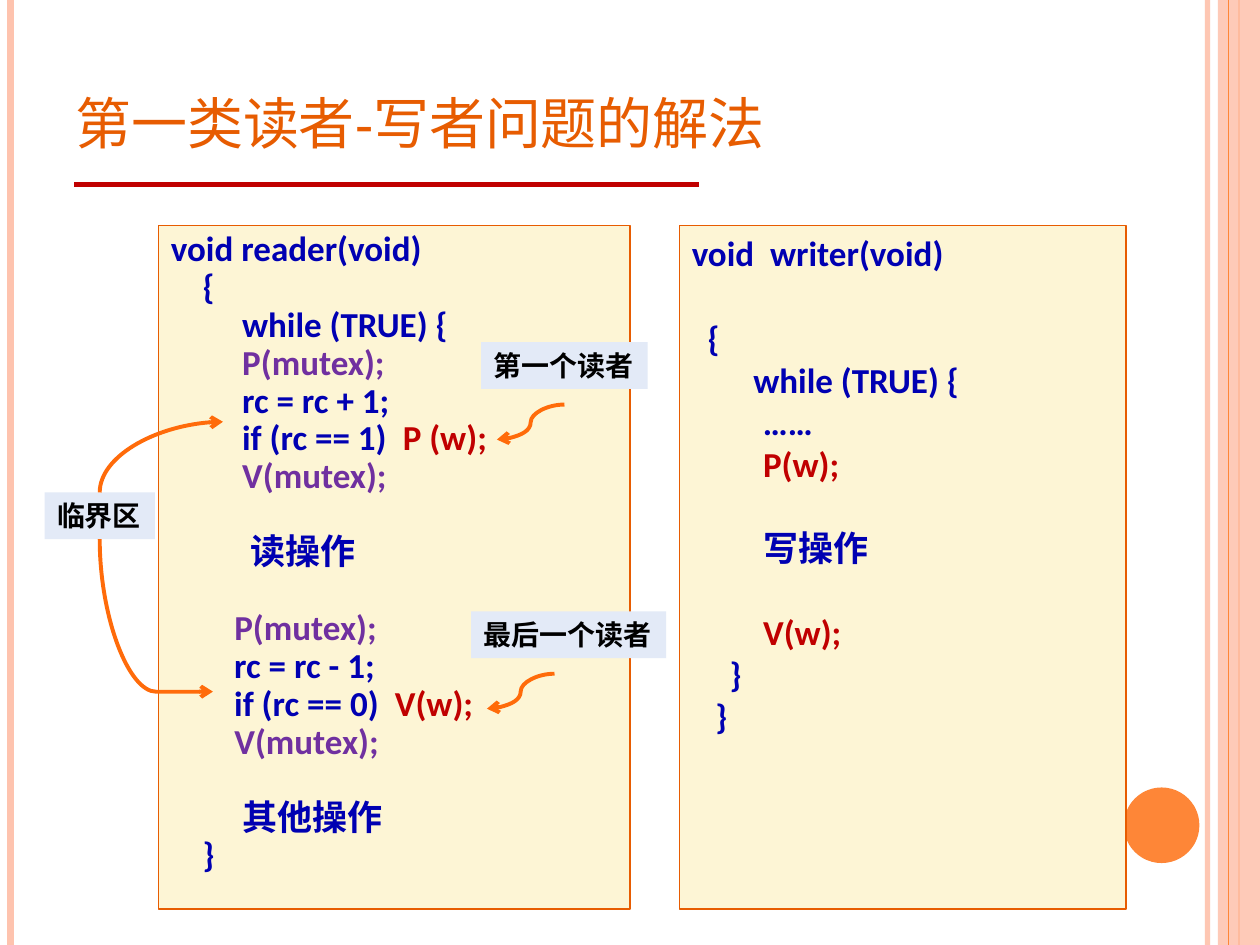
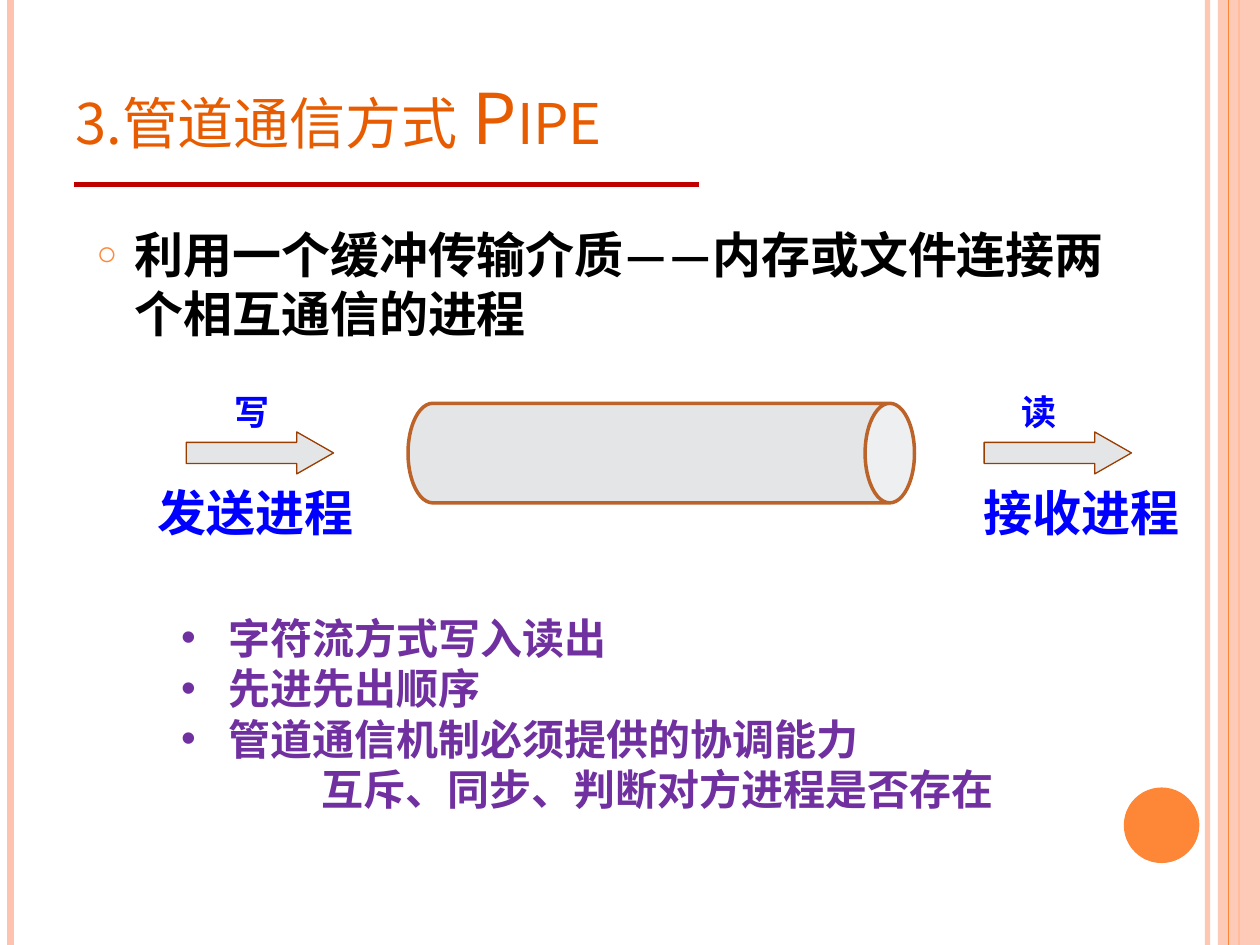
from dataclasses import dataclass

from lxml import etree
from pptx import Presentation
from pptx.dml.color import RGBColor
from pptx.enum.shapes import MSO_CONNECTOR, MSO_SHAPE
from pptx.enum.text import MSO_ANCHOR, MSO_AUTO_SIZE, PP_ALIGN
from pptx.oxml.ns import qn
from pptx.util import Pt

STRAIGHT, CURVE = MSO_CONNECTOR.STRAIGHT, MSO_CONNECTOR.CURVE
RECT, OVAL = MSO_SHAPE.RECTANGLE, MSO_SHAPE.OVAL
RIGHT_ARROW, CAN = MSO_SHAPE.RIGHT_ARROW, MSO_SHAPE.CAN
TOP, BOTTOM = MSO_ANCHOR.TOP, MSO_ANCHOR.BOTTOM
LEFT = PP_ALIGN.LEFT
FIXED, GROW = MSO_AUTO_SIZE.NONE, MSO_AUTO_SIZE.SHAPE_TO_FIT_TEXT
TOP_SITE, BOTTOM_SITE = 0, 2
TITLE_ONLY = 5


@dataclass(frozen=True)
class Theme:
    # Colours
    title: str = "E75C01"
    rule: str = "C00000"
    band: str = "FEC3AE"
    accent: str = "FE8637"
    panel: str = "FDF5D5"
    tag: str = "E3EAF7"
    pointer: str = "FF6B0A"
    code: str = "0000B2"
    mutex: str = "7030A0"
    write_lock: str = "C00000"
    text: str = "000000"
    process: str = "0000FF"
    pipe: str = "E4E5E6"
    pipe_edge: str = "BC6329"
    arrow_edge: str = "9A3D01"
    # Fonts and type sizes
    arial: str = "Arial"
    calibri: str = "Calibri"
    cjk: str = "Noto Sans CJK SC"
    title_size: int = 40
    lead_size: int = 28
    list_size: int = 24
    code_size: int = 20
    tag_size: int = 16


T = Theme()
SLIDE_W, SLIDE_H = 720, 540

# Code listings: one tuple of (text, colour) runs a line, None for a blank line
READER = [
    (("void reader(void)", T.code),),
    (("    {", T.code),),
    (("         while (TRUE) {", T.code),),
    (("         ", T.code), ("P(mutex);", T.mutex)),
    (("         rc = rc + 1;", T.code),),
    (("         if (rc == 1)  ", T.code), ("P (w);", T.write_lock)),
    (("         ", T.code), ("V(mutex);", T.mutex)),
    None,
    (("          读操作", T.code),),
    None,
    (("        ", T.code), ("P(mutex);", T.mutex)),
    (("        rc = rc - 1;", T.code),),
    (("        if (rc == 0)  ", T.code), ("V(w);", T.write_lock)),
    (("        ", T.code), ("V(mutex);", T.mutex)),
    None,
    (("         其他操作", T.code),),
    (("    }", T.code),),
]
WRITER = [
    (("void  writer(void)", T.code),),
    None,
    (("  {", T.code),),
    (("\t   while (TRUE) {", T.code),),
    (("         ……", T.code),),
    (("         ", T.code), ("P(w);", T.write_lock)),
    None,
    (("         写操作", T.code),),
    None,
    (("         ", T.code), ("V(w);", T.write_lock)),
    (("\t}", T.code),),
    (("   }", T.code),),
]


def rgb(value):
    return RGBColor.from_string(value)


def points(*values):
    return [Pt(value) for value in values]


def set_alpha(part, percent):
    colour = part.find(".//" + qn("a:srgbClr"))
    etree.SubElement(colour, qn("a:alpha"), val=str(percent * 1000))


# Text
def add_run(paragraph, text, size, colour, font, bold=True, east_asian=T.calibri):
    run = paragraph.add_run()
    run.text = text
    run.font.size, run.font.bold, run.font.name = Pt(size), bold, font
    run.font.color.rgb = rgb(colour)
    properties = run.font._element
    etree.SubElement(properties, qn("a:ea"), typeface=east_asian)
    return properties


def set_indent(paragraph, margin, first=0):
    properties = paragraph._p.get_or_add_pPr()
    properties.set("marL", str(Pt(margin)))
    properties.set("indent", str(Pt(first)))
    return properties


def add_bullet(paragraph, char, hang, colour=None, percent=100):
    properties = set_indent(paragraph, hang, -hang)
    if colour:
        bullet_colour = etree.SubElement(properties, qn("a:buClr"))
        etree.SubElement(bullet_colour, qn("a:srgbClr"), val=colour)
    etree.SubElement(properties, qn("a:buSzPct"), val=str(percent * 1000))
    etree.SubElement(properties, qn("a:buFont"), typeface=T.arial)
    etree.SubElement(properties, qn("a:buChar"), char=char)


def paragraphs(frame, count):
    return [frame.paragraphs[0]] + [frame.add_paragraph() for _ in range(count - 1)]


def add_label(slide, box, text, size, colour, fill=None):
    label = slide.shapes.add_textbox(*points(*box))
    label.text_frame.word_wrap = False
    label.text_frame.auto_size = GROW
    if fill:
        label.fill.solid()
        label.fill.fore_color.rgb = rgb(fill)
    add_run(label.text_frame.paragraphs[0], text, size, colour, T.cjk)
    return label


def add_text_area(slide, box):
    area = slide.shapes.add_textbox(*points(*box))
    area.text_frame.word_wrap = True
    return area.text_frame


# Shapes and lines
def add_block(slide, kind, box, fill, edge=None, width=0.75, adjustments=()):
    block = slide.shapes.add_shape(kind, *points(*box))
    block.shadow.inherit = False
    block.fill.solid()
    block.fill.fore_color.rgb = rgb(fill)
    if edge:
        block.line.color.rgb = rgb(edge)
        block.line.width = Pt(width)
    else:
        block.line.fill.background()
    for index, value in enumerate(adjustments):
        block.adjustments[index] = value
    return block


def add_line(slide, start, end, colour, width, kind=STRAIGHT):
    line = slide.shapes.add_connector(kind, *points(*start, *end))
    line.line.color.rgb = rgb(colour)
    line.line.width = Pt(width)
    etree.SubElement(line.element.spPr, qn("a:effectLst"))
    return line


def add_pointer(slide, start, end):
    pointer = add_line(slide, start, end, T.pointer, 2.25, CURVE)
    outline = pointer.element.spPr.find(qn("a:ln"))
    etree.SubElement(outline, qn("a:tailEnd"), type="arrow")
    return pointer


def add_vertical_pointer(slide, start, end, label, site, preset, bend=None):
    """Curve that leaves its label vertically and runs to the right."""
    (x1, y1), (x2, y2) = start, end
    middle_x, middle_y = (x1 + x2) / 2, (y1 + y2) / 2
    half_w, half_h = (y2 - y1) / 2, (x2 - x1) / 2
    # Before the 270 degree turn, a downward curve runs right to left
    begin = (middle_x + half_w, middle_y - half_h)
    finish = (middle_x - half_w, middle_y + half_h)
    pointer = add_pointer(slide, begin, finish)
    pointer.begin_connect(label, site)
    pointer.begin_x, pointer.begin_y = points(*begin)
    pointer.end_x, pointer.end_y = points(*finish)
    properties = pointer.element.spPr
    properties.find(qn("a:xfrm")).set("rot", str(270 * 60000))
    geometry = properties.find(qn("a:prstGeom"))
    geometry.set("prst", preset)
    if bend:
        guides = geometry.find(qn("a:avLst"))
        etree.SubElement(guides, qn("a:gd"), name="adj1", fmla=f"val {bend}")


def add_code_panel(slide, box, listing, spacing):
    frame = add_block(slide, RECT, box, T.panel, T.title).text_frame
    frame.word_wrap, frame.vertical_anchor = True, TOP
    line_height = T.code_size * 1.21 * spacing
    rows = iter(paragraphs(frame, len(listing) - listing.count(None)))
    gap = 0
    for line in listing:
        if line is None:
            gap = line_height
            continue
        row = next(rows)
        row.alignment, row.line_spacing = LEFT, spacing
        if gap:
            row.space_before = Pt(round(gap, 1))
        gap = 0
        set_indent(row, 21.6, -21.6)
        for text, colour in line:
            add_run(row, text, T.code_size, colour, T.calibri)


# Frame and title shared by both slides
def add_titled_slide(deck, title, font):
    slide = deck.slides.add_slide(deck.slide_layouts[TITLE_ONLY])
    for x, colour, width, alpha in ((690, T.band, 3, 93), (6, T.band, 4.5, 100),
                                    (708, T.accent, 1.5, 100)):
        edge = add_line(slide, (x, 0), (x, SLIDE_H), colour, width)
        if alpha < 100:
            set_alpha(edge.element.spPr, alpha)
    side_band = add_block(slide, RECT, (696, 0, 24, SLIDE_H), T.band)
    set_alpha(side_band.element.spPr, 87)
    add_line(slide, (702, 0), (702, SLIDE_H), T.accent, 0.75)
    add_block(slide, OVAL, (642.2, 450, 43.2, 43.2), T.accent)
    add_line(slide, (42.5, 105.6), (399.5, 105.6), T.rule, 3)

    heading = slide.shapes.title
    heading.left, heading.top, heading.width, heading.height = points(36, 21.6, 588, 72.7)
    frame = heading.text_frame
    frame.auto_size, frame.vertical_anchor, frame.word_wrap = FIXED, BOTTOM, True
    frame.paragraphs[0].alignment = LEFT
    properties = add_run(frame.paragraphs[0], title, T.title_size, T.title, font,
                         bold=False, east_asian=T.arial)
    properties.set("cap", "small")
    return slide


def build_reader_writer(deck):
    slide = add_titled_slide(deck, "第一类读者-写者问题的解法", T.arial)
    add_code_panel(slide, (90.6, 128.9, 269.4, 390.6), READER, 0.9)
    add_code_panel(slide, (388.2, 128.9, 255.2, 390.6), WRITER, 1)

    # Notes on the first and last reader
    for text, x, y, width in (("第一个读者", 275, 195.6, 95.2),
                              ("最后一个读者", 269.3, 349.4, 111.4)):
        add_label(slide, (x, y, width, 26.7), text, T.tag_size, T.text, T.tag)
        tip_x = x + 9
        add_pointer(slide, (tip_x + 38.6, y + 35.6), (tip_x, y + 55.6))

    # Critical sections
    critical = add_label(slide, (25.5, 281.4, 63, 26.7), "临界区",
                         T.tag_size, T.text, T.tag)
    add_vertical_pointer(slide, (57, 308.1), (121.7, 395.2), critical,
                         BOTTOM_SITE, "curvedConnector3", 100100)
    add_vertical_pointer(slide, (57, 281.4), (127.4, 241), critical,
                         TOP_SITE, "curvedConnector2")


def build_pipe(deck):
    slide = add_titled_slide(deck, "3.管道通信方式 Pipe", T.cjk)
    lead = add_text_area(slide, (48.2, 124.6, 590.4, 378)).paragraphs[0]
    add_bullet(lead, "○", 21.6, T.accent, 70)
    add_run(lead, "利用一个缓冲传输介质——内存或文件连接两个相互通信的进程",
            T.lead_size, T.text, T.cjk)

    # Features of the pipe
    features = ["字符流方式写入读出", "先进先出顺序", "管道通信机制必须提供的协调能力"]
    detail = "互斥、同步、判断对方进程是否存在"
    rows = paragraphs(add_text_area(slide, (96.5, 346.3, 585.4, 123.8)), len(features) + 1)
    for row, text in zip(rows, features + [detail]):
        if text == detail:
            set_indent(row, 80)
        else:
            add_bullet(row, "•", 27)
        add_run(row, text, T.list_size, T.mutex, T.calibri)

    # Sender and receiver
    for process, action, process_x, arrow_x, action_x in (
            ("发送进程", "写", 82.8, 106.4, 126.7), ("接收进程", "读", 555.2, 562.4, 576.7)):
        add_label(slide, (process_x, 272.2, 128.2, 41), process, T.lead_size, T.process)
        add_block(slide, RIGHT_ARROW, (arrow_x, 246.8, 84.2, 24), T.pipe,
                  T.arrow_edge, adjustments=(0.5, 0.875))
        add_label(slide, (action_x, 219.6, 34.6, 31.7), action, T.code_size, T.process)

    # Pipe
    pipe = add_block(slide, CAN, (349.4, 114.2, 56.9, 289.4), T.pipe, T.pipe_edge, 2, (0.496,))
    pipe.rotation = 90


def main():
    deck = Presentation()
    deck.slide_width, deck.slide_height = points(SLIDE_W, SLIDE_H)
    build_reader_writer(deck)
    build_pipe(deck)
    deck.save("out.pptx")


if __name__ == "__main__":
    main()
